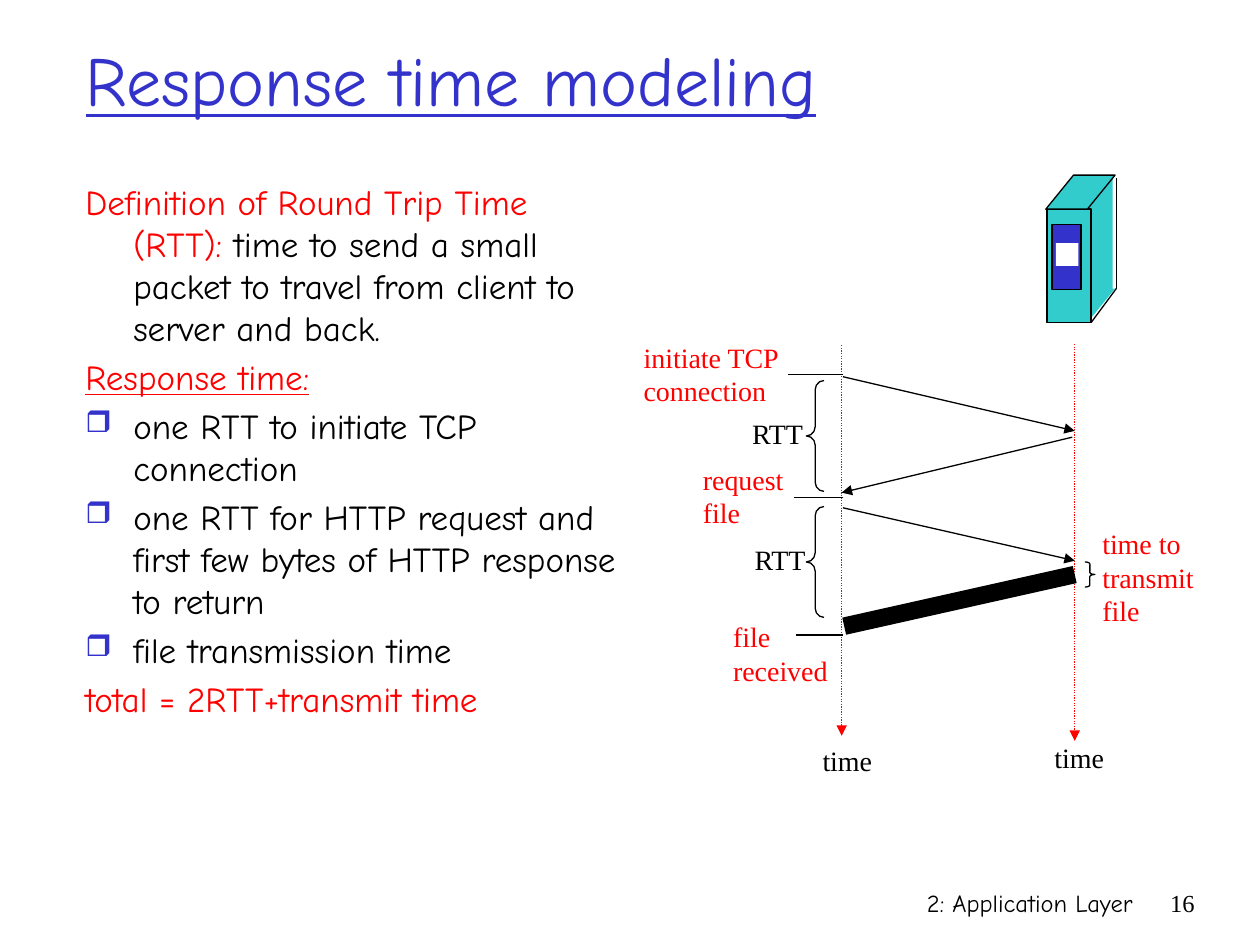
import pptx
import pptx.dml.color
import pptx.enum.dml
import pptx.enum.shapes
import pptx.enum.text
import pptx.oxml
import pptx.oxml.ns
import pptx.util
from lxml import etree

Inches = pptx.util.Inches
Pt = pptx.util.Pt
SHAPE = pptx.enum.shapes.MSO_SHAPE
ALIGN = pptx.enum.text.PP_ALIGN
ANCHOR = pptx.enum.text.MSO_ANCHOR
AUTO = pptx.enum.text.MSO_AUTO_SIZE

COMIC, TIMES = "Comic Neue", "Times New Roman"
BLACK, WHITE, RED, BLUE, TEAL = "000000", "FFFFFF", "FF0000", "3333CC", "33CCCC"


def rgb(hex_string):
    return pptx.dml.color.RGBColor.from_string(hex_string)


def add_run(p, text, font=TIMES, size=16, color=BLACK, underline=False):
    r = p.add_run()
    r.text = text
    r.font.name = font
    r.font.size = Pt(size)
    r.font.color.rgb = rgb(color)
    r.font.underline = underline
    return r


def sub(parent, tag, **attrs):
    child = etree.SubElement(parent, pptx.oxml.ns.qn(tag))
    for name, value in attrs.items():
        child.set(name, value)
    return child


class SlideBuilder:
    """Holds the line style and the current slide."""
    line_width = 0.75

    def __init__(self, prs):
        self.slide = prs.slides.add_slide(prs.slide_layouts[5])
        self.shapes = self.slide.shapes

    def title(self, text, x, y, w, h):
        sp = self.shapes.title
        sp.left, sp.top, sp.width, sp.height = map(Inches, (x, y, w, h))
        tf = sp.text_frame
        tf.auto_size = AUTO.NONE
        tf.vertical_anchor = ANCHOR.MIDDLE
        p = tf.paragraphs[0]
        p.alignment = ALIGN.LEFT
        add_run(p, text, font=COMIC, size=40, color=BLUE, underline=True)

    def label(self, lines, x, y, w, h, align=ALIGN.LEFT, wrap=False, **fmt):
        tf = self.shapes.add_textbox(*map(Inches, (x, y, w, h))).text_frame
        tf.word_wrap = wrap
        tf.auto_size = AUTO.NONE if wrap else AUTO.SHAPE_TO_FIT_TEXT
        for i, line in enumerate(lines):
            p = tf.add_paragraph() if i else tf.paragraphs[0]
            p.alignment = align
            add_run(p, line, **fmt)

    def body(self, paragraphs, x, y, w, h):
        """Each paragraph is (has bullet, [(text, format), ...])."""
        tf = self.shapes.add_textbox(*map(Inches, (x, y, w, h))).text_frame
        tf.word_wrap = True
        for i, (bullet, runs) in enumerate(paragraphs):
            p = tf.add_paragraph() if i else tf.paragraphs[0]
            p.space_before = Pt(4 if i else 0)
            pPr = p._p.get_or_add_pPr()
            pPr.set("marL", str(Inches(0.38)))
            pPr.set("indent", str(-Inches(0.38)))
            if bullet:
                sub(sub(pPr, "a:buClr"), "a:srgbClr", val=BLUE)
                sub(pPr, "a:buSzPct", val="85000")
                sub(pPr, "a:buChar", char="❒")
            for text, fmt in runs:
                add_run(p, text, font=COMIC, size=20, **fmt)

    def shape(self, kind, x, y, w, h, fill=None, outline=True, adj=()):
        sp = self.shapes.add_shape(kind, *map(Inches, (x, y, w, h)))
        sp.shadow.inherit = False
        for i, value in enumerate(adj):
            sp.adjustments[i] = value
        if fill:
            sp.fill.solid()
            sp.fill.fore_color.rgb = rgb(fill)
        else:
            sp.fill.background()
        if outline:
            sp.line.color.rgb = rgb(BLACK)
            sp.line.width = Pt(self.line_width)
        else:
            sp.line.fill.background()

    def line(self, x1, y1, x2, y2, color=BLACK, width=None, dotted=False, arrow=False):
        sp = self.shapes.add_connector(pptx.enum.shapes.MSO_CONNECTOR.STRAIGHT,
                                       *map(Inches, (x1, y1, x2, y2)))
        sp.line.color.rgb = rgb(color)
        sp.line.width = Pt(width or self.line_width)
        if dotted:
            sp.line.dash_style = pptx.enum.dml.MSO_LINE.ROUND_DOT
        spPr = sp._element.spPr
        if arrow:
            sub(spPr.find(pptx.oxml.ns.qn("a:ln")), "a:tailEnd", type="triangle")
        sub(spPr, "a:effectLst")


def main():
    prs = pptx.Presentation()
    prs.slide_width, prs.slide_height = Inches(10), Inches(7.5)
    s = SlideBuilder(prs)

    # Footer and title
    s.label(["2: Application Layer"], 5.92, 7, 3.17, 0.5, align=ALIGN.RIGHT,
            wrap=True, font=COMIC, size=14)
    s.label(["16"], 9.08, 7, 0.5, 0.5, align=ALIGN.RIGHT, wrap=True, size=14)
    s.title("Response time modeling", 0.58, 0, 8.5, 1.25)

    # Definitions
    red = {"color": RED}
    s.body([
        (False, [("Definition of Round Trip Time (RTT):", red),
                 (" time to send a small packet to travel from client to server and back.", {})]),
        (False, [("Response time:", {"color": RED, "underline": True})]),
        (True, [("one RTT to initiate TCP connection", {})]),
        (True, [("one RTT for HTTP request and first few bytes of HTTP response to return", {})]),
        (True, [("file transmission time", {})]),
        (False, [("total = 2RTT+transmit time", red)]),
    ], 0.58, 1.38, 4.47, 5.08)

    # Server
    s.shape(SHAPE.PARALLELOGRAM, 8.3, 2.29, 0.55, 0.27, TEAL, outline=False, adj=[0.814])
    s.shape(SHAPE.RECTANGLE, 8.58, 1.4, 0.25, 0.9, TEAL, outline=False)
    s.shape(SHAPE.RECTANGLE, 8.31, 1.66, 0.35, 0.9, TEAL)
    s.shape(SHAPE.PARALLELOGRAM, 8.3, 1.39, 0.55, 0.27, TEAL, adj=[0.814])
    s.line(8.86, 1.41, 8.86, 2.29)
    s.line(8.86, 2.29, 8.66, 2.56)
    s.shape(SHAPE.RECTANGLE, 8.35, 1.78, 0.23, 0.52, BLUE)
    s.shape(SHAPE.RECTANGLE, 8.38, 1.93, 0.18, 0.18, WHITE, outline=False)

    # Time axes of client and server
    client, server = 6.68, 8.53
    for x, top, bottom in [(client, 2.74, 5.84), (server, 2.73, 5.88)]:
        s.line(x, top, x, bottom, color=RED, dotted=True, arrow=True)
    s.label(["time"], 6.43, 5.85, 0.6, 0.37)
    s.label(["time"], 8.27, 5.83, 0.6, 0.37)

    # Messages and file transfer
    s.line(6.69, 2.99, server, 3.42, arrow=True)
    s.line(8.51, 3.47, client, 3.91, arrow=True)
    s.line(6.69, 4.03, server, 4.45, arrow=True)
    s.line(server, 4.56, 6.7, 4.97, width=10)

    # Event ticks on the client axis
    for left, y in [(6.25, 2.97), (6.3, 3.95), (6.32, 5.04)]:
        s.line(left, y, 6.69, y)

    # Braces with their durations
    for x, y in [(5.87, 3.02), (5.89, 4.02)]:
        s.shape(SHAPE.LEFT_BRACE, 6.4, y, 0.14, 0.88, adj=[0.521, 0.5])
        s.label(["RTT"], x, y + 0.24, 0.62, 0.37)
    s.shape(SHAPE.RIGHT_BRACE, 8.61, 4.46, 0.08, 0.2, adj=[0.204, 0.5])

    # Event labels
    for lines, x, y, w, h in [
        (["initiate TCP", "connection"], 5.01, 2.65, 1.28, 0.64),
        (["request", "file"], 5.48, 3.62, 0.85, 0.64),
        (["file", "received"], 5.72, 4.87, 0.96, 0.64),
        (["time to", "transmit", "file"], 8.65, 4.13, 0.99, 0.9),
    ]:
        s.label(lines, x, y, w, h, color=RED)

    prs.save("out.pptx")


if __name__ == "__main__":
    main()
